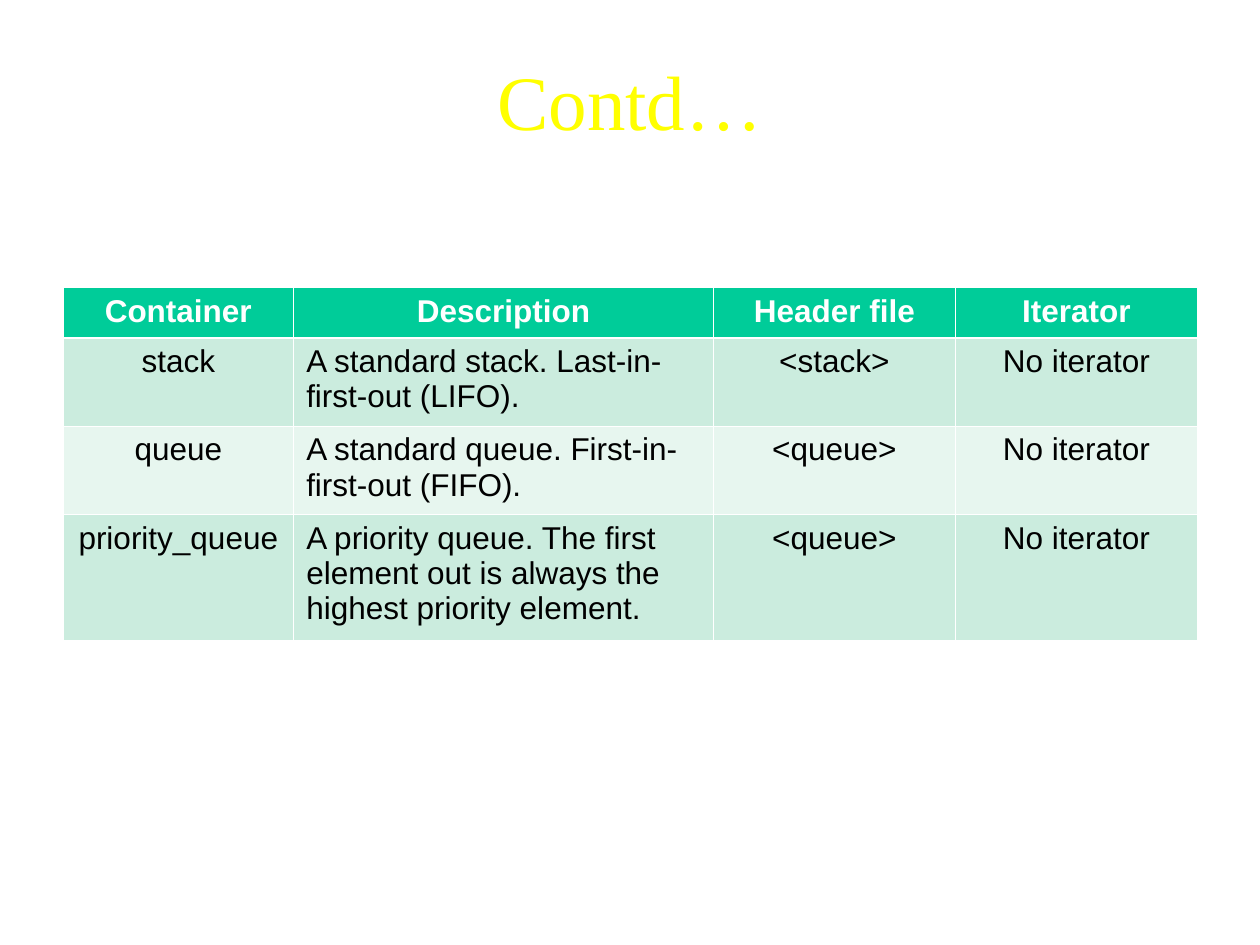
from lxml.etree import SubElement
from pptx import Presentation
from pptx.dml.color import RGBColor
from pptx.enum.text import MSO_ANCHOR, PP_ALIGN
from pptx.oxml.ns import qn
from pptx.util import Cm, Pt

WHITE = RGBColor(0xFF, 0xFF, 0xFF)
BLACK = RGBColor(0x00, 0x00, 0x00)
YELLOW = RGBColor(0xFF, 0xFF, 0x00)
GREEN = RGBColor(0x00, 0xCC, 0x99)
DARK_BAND = RGBColor(0xCB, 0xEC, 0xDE)
LIGHT_BAND = RGBColor(0xE7, 0xF6, 0xEF)

COLUMN_WIDTHS = [4.65, 8.46, 4.88, 4.88]
ROW_HEIGHTS = [1.01, 1.78, 1.78, 2.54]
ROWS = [
    ["Container", "Description", "Header file", "Iterator"],
    ["stack", "A standard stack. Last-in-first-out (LIFO).", "<stack>", "No iterator"],
    ["queue", "A standard queue. First-in-first-out (FIFO).", "<queue>", "No iterator"],
    ["priority_queue",
     "A priority queue. The first element out is always the highest priority element.",
     "<queue>", "No iterator"],
]


def add_border(cell, side, width):
    line = SubElement(cell._tc.get_or_add_tcPr(), qn(f"a:ln{side}"), w=str(Pt(width)))
    solid = SubElement(line, qn("a:solidFill"))
    SubElement(solid, qn("a:srgbClr"), val=str(WHITE))


presentation = Presentation()
presentation.slide_width = Cm(25.4)
presentation.slide_height = Cm(19.05)
slide = presentation.slides.add_slide(presentation.slide_layouts[5])
slide.background.fill.solid()
slide.background.fill.fore_color.rgb = WHITE

# Title
title = slide.shapes.title
title.left, title.top, title.width, title.height = Cm(1.27), Cm(0.76), Cm(22.86), Cm(3.18)
title.text_frame.text = "Contd…"
title.text_frame.vertical_anchor = MSO_ANCHOR.TOP
title.text_frame.margin_top = Cm(0.32)
paragraph = title.text_frame.paragraphs[0]
paragraph.alignment = PP_ALIGN.CENTER
paragraph.font.name = "Times New Roman"
paragraph.font.size = Pt(44)
paragraph.font.color.rgb = YELLOW

# Table of container adaptors
table = slide.shapes.add_table(
    len(ROWS), len(COLUMN_WIDTHS), Cm(1.27), Cm(5.8),
    Cm(sum(COLUMN_WIDTHS)), Cm(sum(ROW_HEIGHTS))).table
for column, width in zip(table.columns, COLUMN_WIDTHS):
    column.width = Cm(width)
for row, height in zip(table.rows, ROW_HEIGHTS):
    row.height = Cm(height)

for row_index, texts in enumerate(ROWS):
    is_header = row_index == 0
    band = DARK_BAND if row_index % 2 else LIGHT_BAND
    for column_index, text in enumerate(texts):
        cell = table.cell(row_index, column_index)

        # Borders, heavier between the header and the body
        add_border(cell, "L", 0.45)
        add_border(cell, "R", 0.45)
        add_border(cell, "T", 1.47 if row_index == 1 else 0.45)
        add_border(cell, "B", 1.47 if is_header else 0.45)
        cell.fill.solid()
        cell.fill.fore_color.rgb = GREEN if is_header else band

        # Text, left-aligned only in the body of the description column
        cell.text = text
        paragraph = cell.text_frame.paragraphs[0]
        is_description = column_index == 1 and not is_header
        paragraph.alignment = PP_ALIGN.LEFT if is_description else PP_ALIGN.CENTER
        paragraph.font.name = "Arial"
        paragraph.font.size = Pt(18)
        paragraph.font.bold = is_header
        paragraph.font.color.rgb = WHITE if is_header else BLACK

presentation.save("out.pptx")
